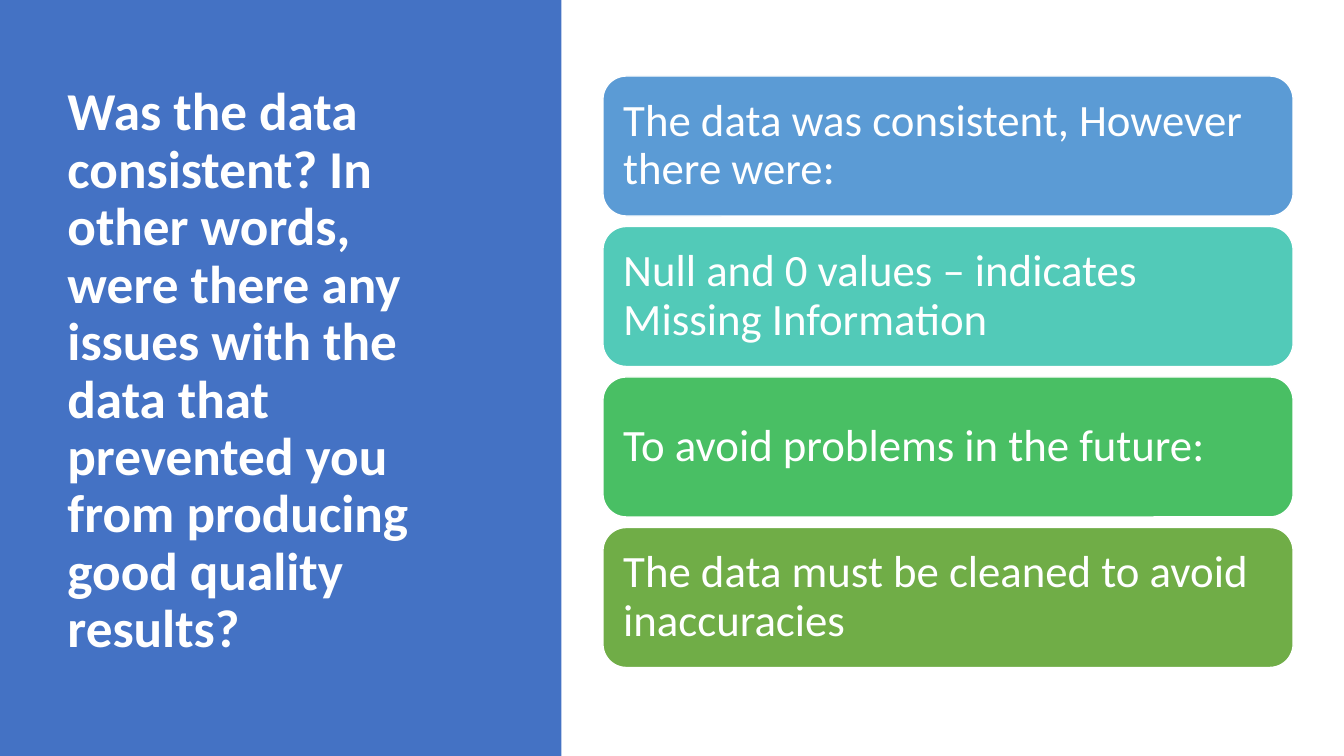
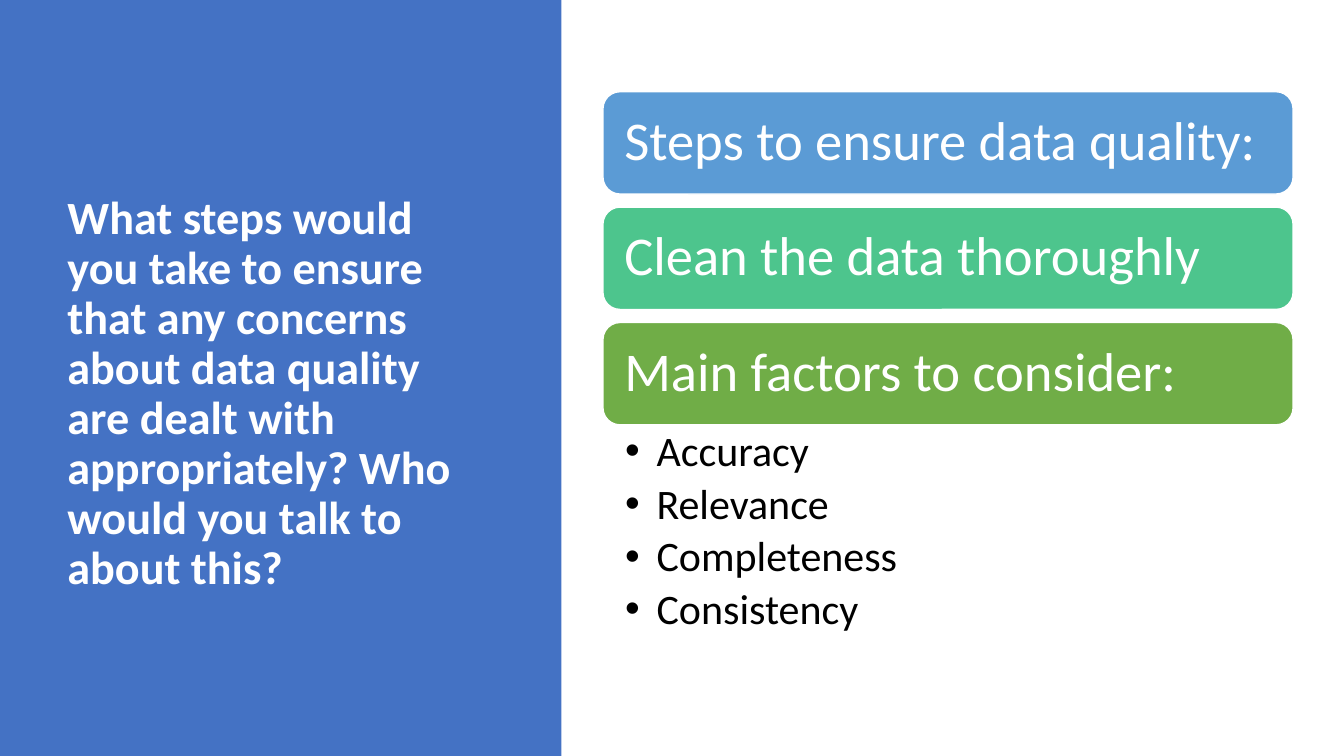
from dataclasses import dataclass

from pptx import Presentation
from pptx.dml.color import RGBColor
from pptx.enum.shapes import MSO_SHAPE
from pptx.enum.text import MSO_ANCHOR, MSO_AUTO_SIZE, PP_ALIGN
from pptx.util import Pt


@dataclass(frozen=True)
class Theme:
    """Colours, font and type sizes of the deck."""
    font: str = "Calibri"
    band: str = "4472C4"
    light: str = "FFFFFF"
    dark: str = "000000"
    blue: str = "5B9BD5"
    teal: str = "52CAB8"
    mint: str = "4DC58D"
    green: str = "49BF64"
    olive: str = "70AD47"
    long_title: int = 38
    short_title: int = 33
    card: int = 32
    big_card: int = 39
    bullet: int = 30


@dataclass(frozen=True)
class Box:
    """A rectangle in points."""
    left: float
    top: float
    width: float
    height: float

    def place(self, shape):
        """Move a shape onto this rectangle."""
        shape.left, shape.top = Pt(self.left), Pt(self.top)
        shape.width, shape.height = Pt(self.width), Pt(self.height)

    def lengths(self):
        """Return the four lengths that add_shape expects."""
        return Pt(self.left), Pt(self.top), Pt(self.width), Pt(self.height)


THEME = Theme()
PAGE = Box(0, 0, 960, 540)
BAND = Box(0, 0, 401, 540)
CARD_LEFT, CARD_WIDTH = 430.7, 493
TITLE_ONLY, TITLE_AND_BODY = 5, 1


def paint(shape, fill, line=None):
    """Give a shape a flat fill and an optional thin outline."""
    shape.shadow.inherit = False
    shape.fill.solid()
    shape.fill.fore_color.rgb = RGBColor.from_string(fill)
    if line:
        shape.line.color.rgb = RGBColor.from_string(line)
        shape.line.width = Pt(1)
    else:
        shape.line.fill.background()


def style_para(para, size, colour, bold=False, after=0):
    """Apply the deck's paragraph style."""
    para.alignment = PP_ALIGN.LEFT
    para.line_spacing = 0.9
    para.space_before, para.space_after = Pt(0), Pt(after)
    para.font.name, para.font.size, para.font.bold = THEME.font, Pt(size), bold
    para.font.color.rgb = RGBColor.from_string(colour)


def set_frame(frame, anchor, left, top, right, bottom):
    """Set wrapping, anchor and insets of a text frame."""
    frame.word_wrap = True
    frame.auto_size = MSO_AUTO_SIZE.NONE
    frame.vertical_anchor = anchor
    frame.margin_left, frame.margin_top = Pt(left), Pt(top)
    frame.margin_right, frame.margin_bottom = Pt(right), Pt(bottom)


def add_title_band(page, box, text, size, drop=0):
    """Draw the coloured band and set the title on it, lowered by drop."""
    band = page.shapes.add_shape(MSO_SHAPE.RECTANGLE, *box.lengths())
    paint(band, THEME.band)
    title = page.shapes.title
    title._element.addprevious(band._element)
    Box(box.left + 41, box.top + 49, box.width - 101.5, box.height - 106.5).place(title)
    frame = title.text_frame
    set_frame(frame, MSO_ANCHOR.MIDDLE, 7.2, 3.6 + 2 * drop, 7.2, 3.6)
    frame.text = text
    style_para(frame.paragraphs[0], size, THEME.light, bold=True)


def add_cards(page, box, cards, size, gap, inset):
    """Stack equal rounded cards down the box."""
    height = (box.height - gap * (len(cards) - 1)) / len(cards)
    for index, (text, fill) in enumerate(cards):
        spot = Box(box.left, box.top + index * (height + gap), box.width, height)
        card = page.shapes.add_shape(MSO_SHAPE.ROUNDED_RECTANGLE, *spot.lengths())
        paint(card, fill, THEME.light)
        set_frame(card.text_frame, MSO_ANCHOR.MIDDLE, inset, inset, inset, inset)
        card.text_frame.text = text
        style_para(card.text_frame.paragraphs[0], size, THEME.light)


def add_bullets(page, box, items):
    """Fill the body placeholder with a bulleted list."""
    body = page.placeholders[1]
    box.place(body)
    frame = body.text_frame
    set_frame(frame, MSO_ANCHOR.TOP, 15.8, 3.6, 21.6, 3.6)
    frame.text = "\n".join(items)
    for para in frame.paragraphs:
        style_para(para, THEME.bullet, THEME.dark, after=5.3)
        indent = Pt(22.5)
        properties = para._p.get_or_add_pPr()
        properties.set("marL", str(indent))
        properties.set("indent", str(-indent))


def build_consistency_page(deck):
    """Build the page on data consistency."""
    page = deck.slides.add_slide(deck.slide_layouts[TITLE_ONLY])
    add_title_band(
        page, BAND,
        "Was the data consistent? In other words, were there any issues with "
        "the data that prevented you from producing good quality results?",
        THEME.long_title)
    cards = [
        ("The data was consistent, However there were:", THEME.blue),
        ("Null and 0 values – indicates Missing Information", THEME.teal),
        ("To avoid problems in the future:", THEME.green),
        ("The data must be cleaned to avoid inaccuracies", THEME.olive),
    ]
    add_cards(page, Box(CARD_LEFT, 54.3, CARD_WIDTH, 422.5), cards,
              THEME.card, gap=7.5, inset=9.6)


def build_quality_page(deck):
    """Build the page on steps for data quality."""
    page = deck.slides.add_slide(deck.slide_layouts[TITLE_AND_BODY])
    add_title_band(
        page, BAND,
        "What steps would you take to ensure that any concerns about data quality "
        "are dealt with appropriately? Who would you talk to about this?",
        THEME.short_title, drop=16)
    cards = [
        ("Steps to ensure data quality:", THEME.blue),
        ("Clean the data thoroughly", THEME.mint),
        ("Main factors to consider:", THEME.olive),
    ]
    stack = Box(CARD_LEFT, 65.5, CARD_WIDTH, 238)
    add_cards(page, stack, cards, THEME.big_card, gap=9.3, inset=11.7)
    add_bullets(page, Box(CARD_LEFT, stack.top + stack.height, CARD_WIDTH, 162),
                ["Accuracy", "Relevance", "Completeness", "Consistency"])


def main():
    """Build and save the deck."""
    deck = Presentation()
    deck.slide_width, deck.slide_height = Pt(PAGE.width), Pt(PAGE.height)
    build_consistency_page(deck)
    build_quality_page(deck)
    deck.save("out.pptx")


if __name__ == "__main__":
    main()
